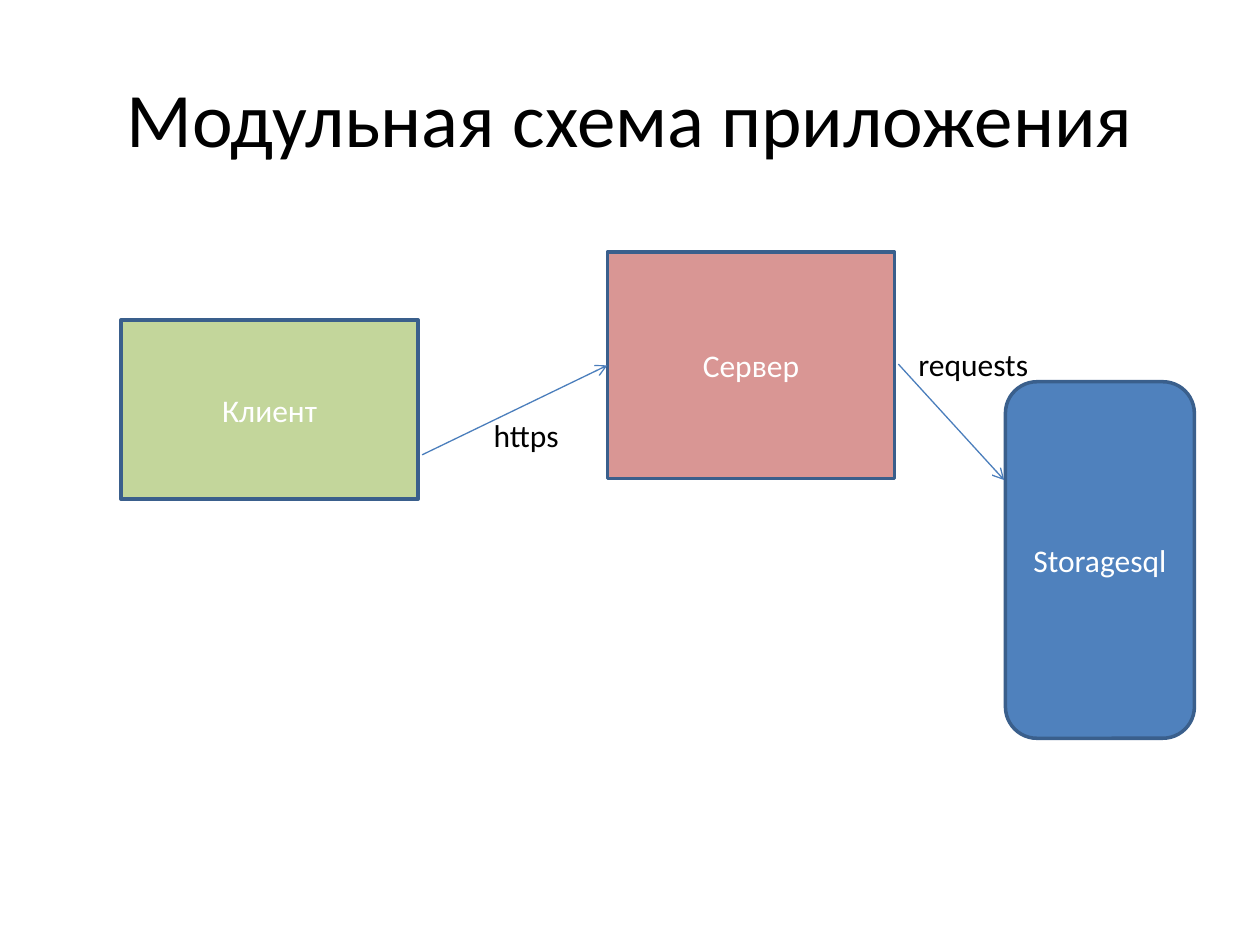
import dataclasses
import pptx
import pptx.dml.color
import pptx.enum.shapes
import pptx.enum.text
import pptx.oxml.ns
import pptx.util
from lxml import etree

COLS, ROWS = 100, 75
WIDE, HIGH = pptx.util.Inches(10), pptx.util.Inches(7.5)
FONT = "Calibri"
BLACK, WHITE, EDGE, WIRE = "000000", "FFFFFF", "3A5F8C", "4B7EBC"
KIND = pptx.enum.shapes.MSO_SHAPE
ALIGN = pptx.enum.text.PP_ALIGN
ANCHOR = pptx.enum.text.MSO_ANCHOR
FIT = pptx.enum.text.MSO_AUTO_SIZE


@dataclasses.dataclass
class Area:
    col: float
    row: float
    cols: float
    rows: float


@dataclasses.dataclass
class Module:
    name: str
    area: Area
    fill: str
    kind: KIND = KIND.RECTANGLE


@dataclasses.dataclass
class Arrow:
    start: tuple[float, float]
    end: tuple[float, float]


@dataclasses.dataclass
class Label:
    text: str
    area: Area
    size: int = 18
    align: ALIGN = ALIGN.LEFT
    anchor: ANCHOR = ANCHOR.TOP
    wrap: bool = True
    fit: FIT = FIT.SHAPE_TO_FIT_TEXT


MODULES = [
    Module("Клиент", Area(9.6, 25.4, 23.6, 14.2), "C3D69B"),
    Module("Storagesql", Area(79.8, 30.3, 15, 28.3), "4F81BD", KIND.ROUNDED_RECTANGLE),
    Module("Сервер", Area(48.2, 20, 22.8, 18), "D99694"),
]
ARROWS = [
    Arrow((33.5, 36.1), (48.2, 29)),
    Arrow((71.3, 28.9), (79.7, 38.1)),
]
LABELS = [
    Label("Модульная схема приложения", Area(5, 3, 90, 12.5), 44,
          ALIGN.CENTER, ANCHOR.MIDDLE, fit=FIT.NONE),
    Label("https", Area(38.2, 32.5, 7.3, 4), wrap=False),
    Label("requests", Area(71.9, 26.9, 28.1, 4)),
]


def paint(code: str) -> pptx.dml.color.RGBColor:
    return pptx.dml.color.RGBColor.from_string(code)


def spot(col: float, row: float) -> tuple[int, int]:
    return round(WIDE * col / COLS), round(HIGH * row / ROWS)


def place(area: Area) -> tuple[int, ...]:
    return spot(area.col, area.row) + spot(area.cols, area.rows)


def write(frame, text: str, size: int, color: str, align: ALIGN, anchor: ANCHOR) -> None:
    frame.vertical_anchor = anchor
    line = frame.paragraphs[0]
    line.text = text
    line.alignment = align
    line.font.name = FONT
    line.font.size = pptx.util.Pt(size)
    line.font.color.rgb = paint(color)


def draw_module(slide, item: Module) -> None:
    shape = slide.shapes.add_shape(item.kind, *place(item.area))
    shape.shadow.inherit = False
    shape.fill.solid()
    shape.fill.fore_color.rgb = paint(item.fill)
    shape.line.color.rgb = paint(EDGE)
    shape.line.width = pptx.util.Pt(2)
    write(shape.text_frame, item.name, 18, WHITE, ALIGN.CENTER, ANCHOR.MIDDLE)


def draw_arrow(slide, item: Arrow) -> None:
    wire = slide.shapes.add_connector(
        pptx.enum.shapes.MSO_CONNECTOR.STRAIGHT, *spot(*item.start), *spot(*item.end))
    wire.line.color.rgb = paint(WIRE)
    wire.line.width = pptx.util.Pt(0.75)
    name = pptx.oxml.ns.qn
    etree.SubElement(wire.line._get_or_add_ln(), name("a:tailEnd"), type="arrow")
    etree.SubElement(wire._element.spPr, name("a:effectLst"))


def draw_label(slide, item: Label) -> None:
    frame = slide.shapes.add_textbox(*place(item.area)).text_frame
    frame.word_wrap = item.wrap
    frame.auto_size = item.fit
    write(frame, item.text, item.size, BLACK, item.align, item.anchor)


def main() -> None:
    deck = pptx.Presentation()
    deck.slide_width, deck.slide_height = WIDE, HIGH
    slide = deck.slides.add_slide(deck.slide_layouts[6])
    for item in MODULES:
        draw_module(slide, item)
    for item in ARROWS:
        draw_arrow(slide, item)
    for item in LABELS:
        draw_label(slide, item)
    deck.save("out.pptx")


if __name__ == "__main__":
    main()
